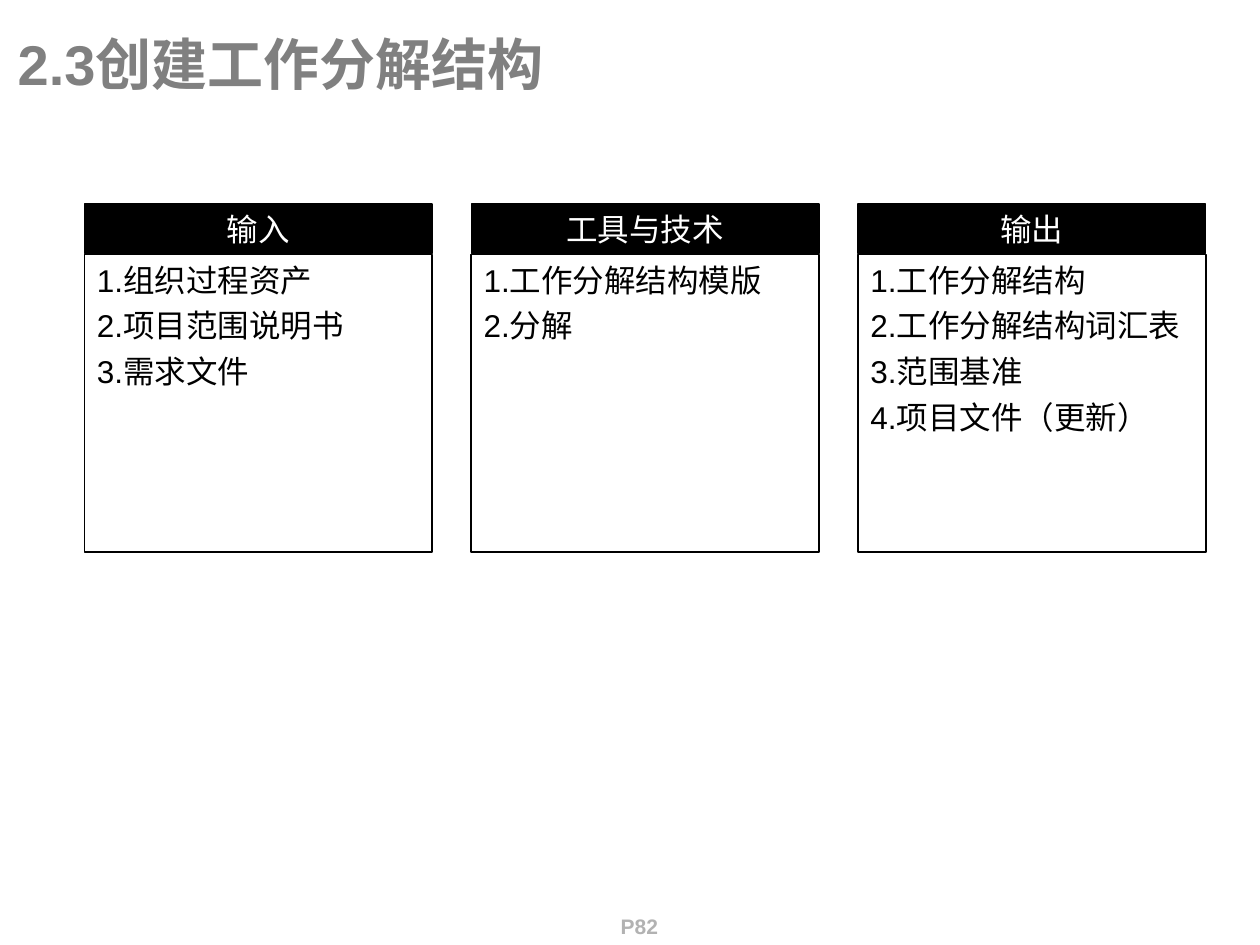
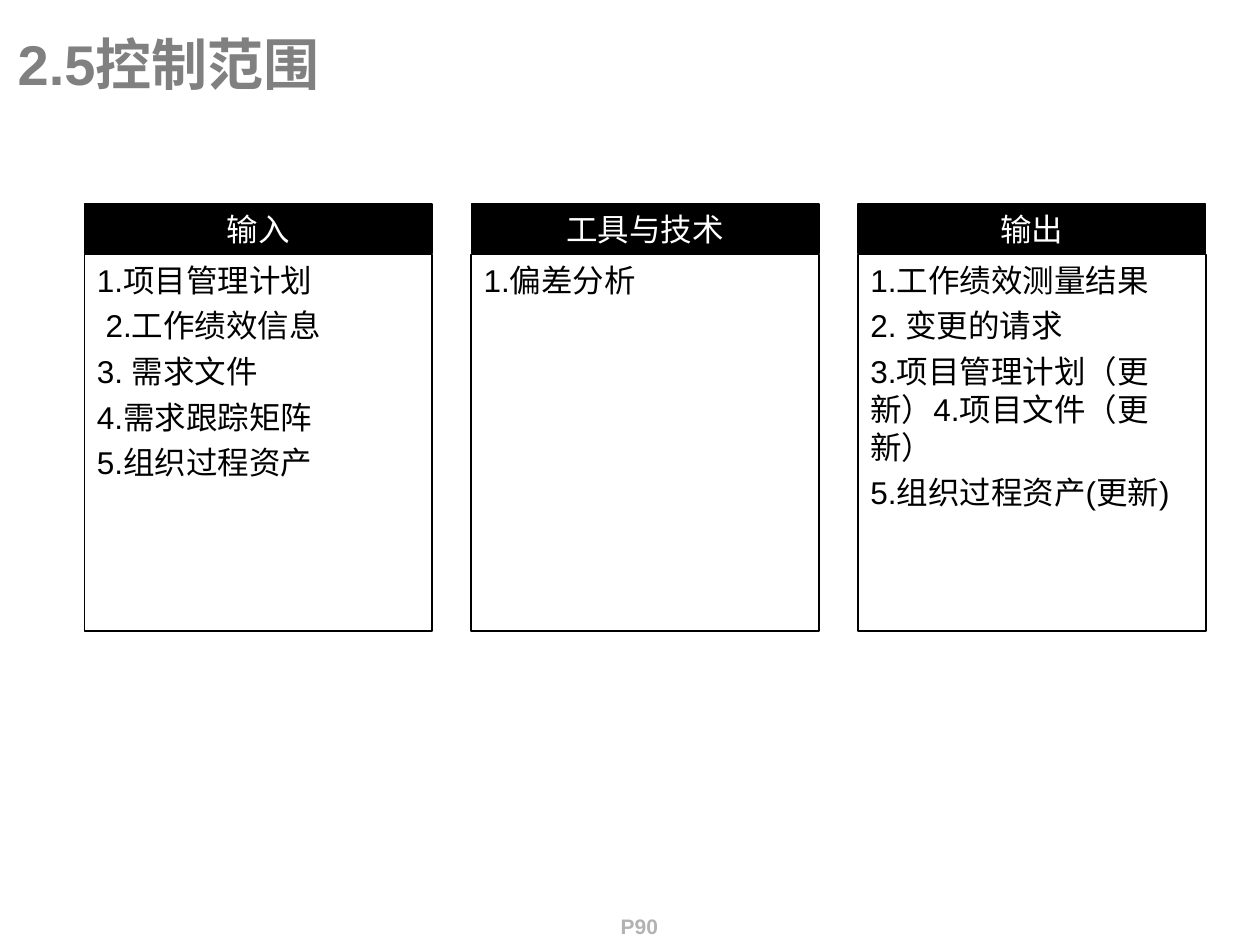
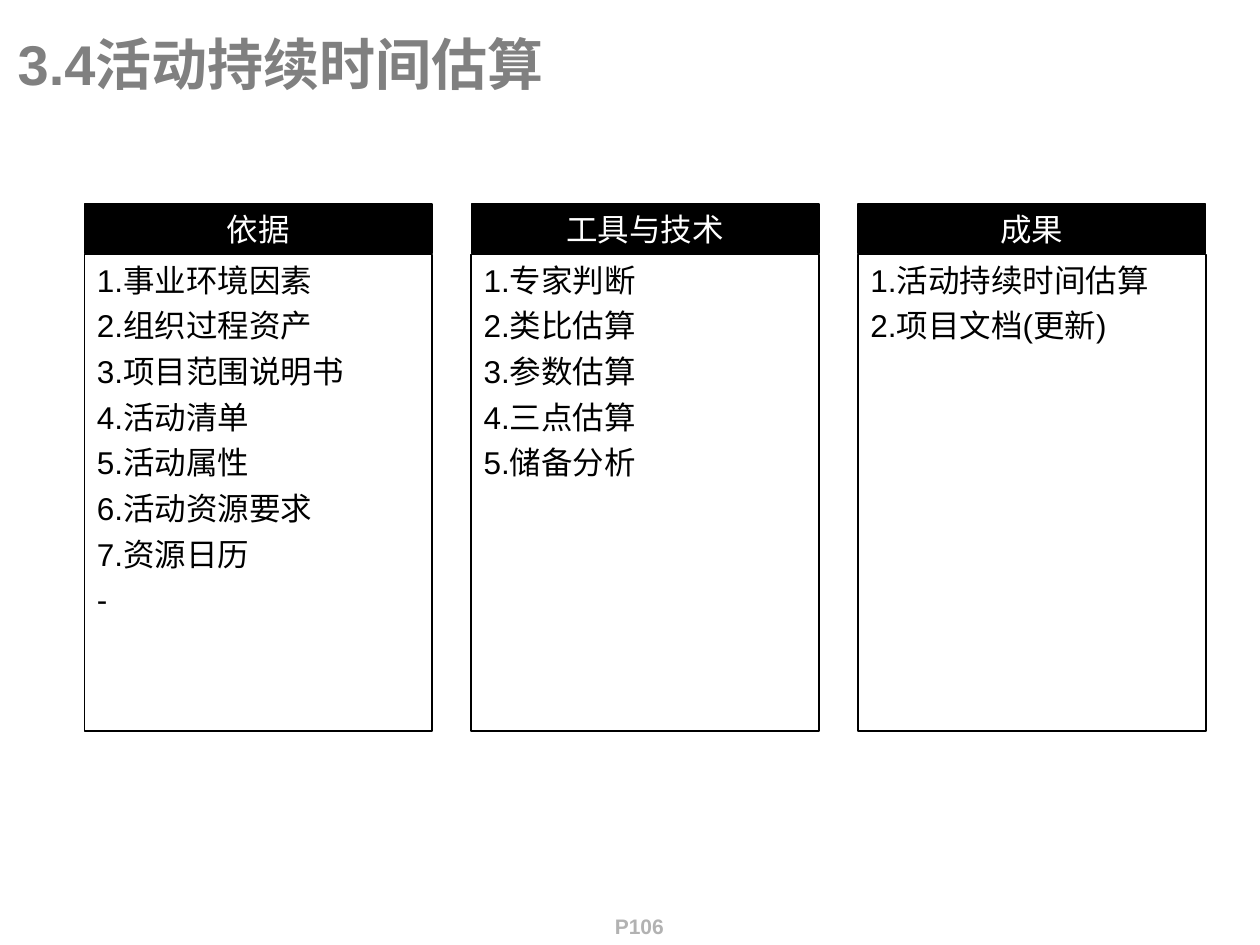
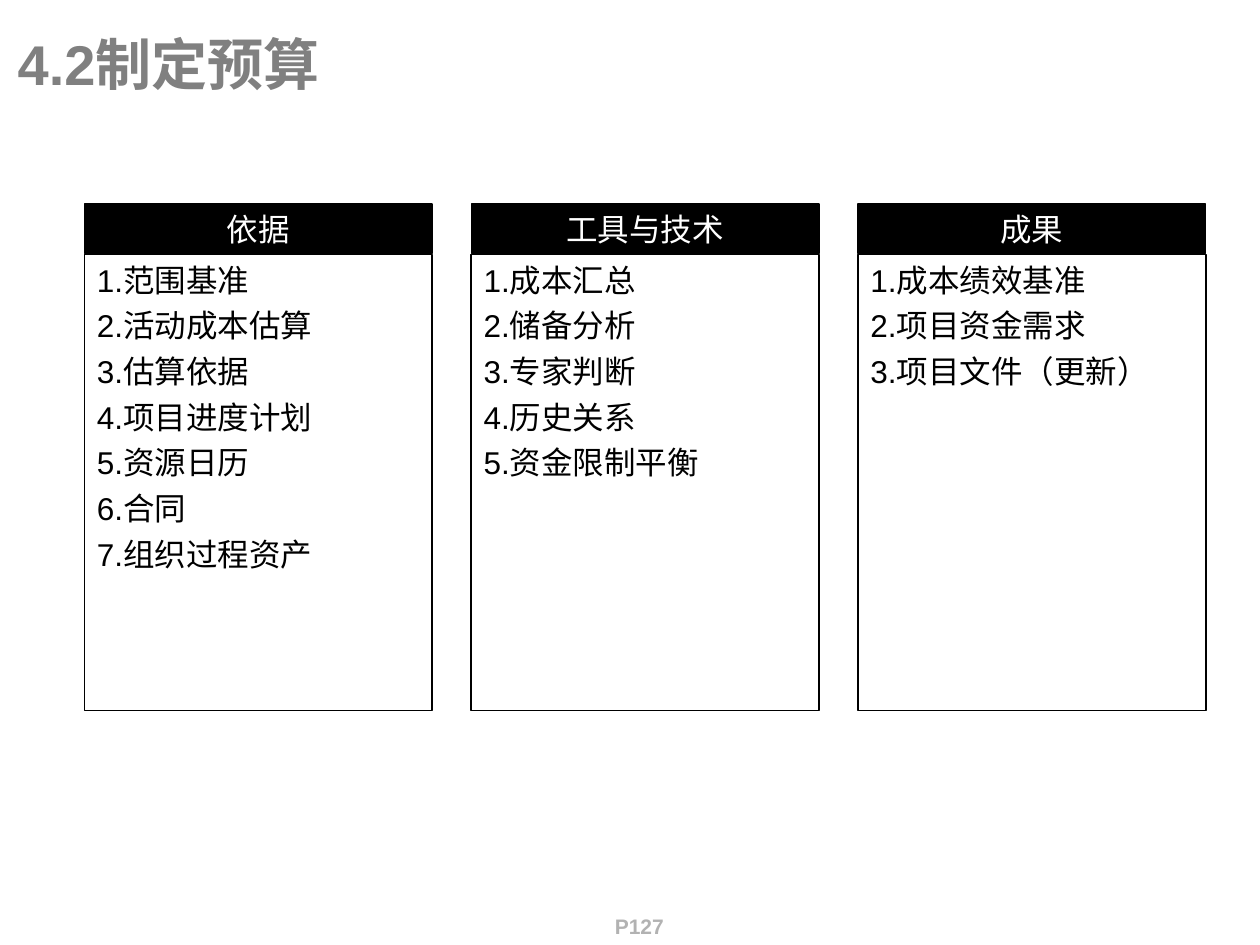
from dataclasses import dataclass

from pptx import Presentation
from pptx.dml.color import RGBColor
from pptx.enum.shapes import MSO_SHAPE
from pptx.enum.text import MSO_ANCHOR, MSO_AUTO_SIZE, PP_ALIGN
from pptx.util import Inches, Pt


@dataclass(frozen=True)
class Theme:
    font: str = "Arial"
    ink: str = "000000"
    paper: str = "FFFFFF"
    title: str = "808080"
    page: str = "B2B2B2"
    title_size: int = 32
    text_size: int = 18
    page_size: int = 12
    gap: float = 4.5
    head_line: float = 0.75
    list_line: float = 1
    left: float = 6.7
    pitch: float = 30.7
    width: float = 27.6
    head_top: float = 21.6
    head_tall: float = 5.2
    list_top: float = 26.93


class Deck:
    def __init__(self, theme):
        self.theme = theme
        self.show = Presentation()
        self.show.slide_width = Inches(10)
        self.show.slide_height = Inches(7.5)
        self.slide = None

    def area(self, x, y, w, h):
        wide, tall = self.show.slide_width, self.show.slide_height
        return [round(side * share / 100)
                for side, share in zip((wide, tall, wide, tall), (x, y, w, h))]

    def label(self, shape, lines, size, color, align=PP_ALIGN.LEFT,
              bold=False, anchor=MSO_ANCHOR.TOP):
        frame = shape.text_frame
        frame.text = "\n".join(lines)
        frame.word_wrap = True
        frame.auto_size = MSO_AUTO_SIZE.NONE
        frame.vertical_anchor = anchor
        for index, para in enumerate(frame.paragraphs):
            para.alignment = align
            para.space_before = Pt(self.theme.gap if index else 0)
            para.font.name = self.theme.font
            para.font.size = Pt(size)
            para.font.bold = bold
            para.font.color.rgb = RGBColor.from_string(color)

    def start(self, title, page):
        look = self.theme
        self.slide = self.show.slides.add_slide(self.show.slide_layouts[5])
        head = self.slide.shapes.title
        head.left, head.top, head.width, head.height = self.area(
            0.4, 2.27, 99.6, 8.8)
        self.label(head, [title], look.title_size, look.title,
                   bold=True, anchor=MSO_ANCHOR.MIDDLE)
        foot = self.slide.shapes.add_textbox(*self.area(47.6, 96, 6.3, 4))
        self.label(foot, [page], look.page_size, look.page,
                   PP_ALIGN.CENTER, bold=True)

    def box(self, col, top, tall, line):
        look = self.theme
        shape = self.slide.shapes.add_shape(
            MSO_SHAPE.RECTANGLE,
            *self.area(look.left + col * look.pitch, top, look.width, tall))
        shape.shadow.inherit = False
        shape.line.color.rgb = RGBColor.from_string(look.ink)
        shape.line.width = Pt(line)
        return shape

    def head(self, col, text):
        look = self.theme
        shape = self.box(col, look.head_top, look.head_tall, look.head_line)
        shape.fill.solid()
        shape.fill.fore_color.rgb = RGBColor.from_string(look.ink)
        self.label(shape, [text], look.text_size, look.paper, PP_ALIGN.CENTER)

    def points(self, col, lines, tall):
        look = self.theme
        shape = self.box(col, look.list_top, tall, look.list_line)
        shape.fill.background()
        self.label(shape, lines, look.text_size, look.ink)

    def process(self, title, page, tall, heads, lists):
        self.start(title, page)
        for col, (head, lines) in enumerate(zip(heads, lists)):
            self.head(col, head)
            self.points(col, lines, tall)


FLOW = ("输入", "工具与技术", "输出")
BASIS = ("依据", "工具与技术", "成果")

SLIDES = [
    ("2.3创建工作分解结构", "P82", 31.47, FLOW, [
        ["1.组织过程资产", "2.项目范围说明书", "3.需求文件"],
        ["1.工作分解结构模版", "2.分解"],
        ["1.工作分解结构", "2.工作分解结构词汇表", "3.范围基准",
         "4.项目文件（更新）"],
    ]),
    ("2.5控制范围", "P90", 39.87, FLOW, [
        ["1.项目管理计划", " 2.工作绩效信息", "3. 需求文件",
         "4.需求跟踪矩阵", "5.组织过程资产"],
        ["1.偏差分析"],
        ["1.工作绩效测量结果", "2. 变更的请求",
         "3.项目管理计划（更新）4.项目文件（更新）", "5.组织过程资产(更新)"],
    ]),
    ("3.4活动持续时间估算", "P106", 50.4, BASIS, [
        ["1.事业环境因素", "2.组织过程资产", "3.项目范围说明书", "4.活动清单",
         "5.活动属性", "6.活动资源要求", "7.资源日历", "-"],
        ["1.专家判断", "2.类比估算", "3.参数估算", "4.三点估算", "5.储备分析"],
        ["1.活动持续时间估算", "2.项目文档(更新)"],
    ]),
    ("4.2制定预算", "P127", 48.27, BASIS, [
        ["1.范围基准", "2.活动成本估算", "3.估算依据", "4.项目进度计划",
         "5.资源日历", "6.合同", "7.组织过程资产"],
        ["1.成本汇总", "2.储备分析", "3.专家判断", "4.历史关系",
         "5.资金限制平衡"],
        ["1.成本绩效基准", "2.项目资金需求", "3.项目文件（更新）"],
    ]),
]


def main():
    deck = Deck(Theme())
    for slide in SLIDES:
        deck.process(*slide)
    deck.show.save("out.pptx")


if __name__ == "__main__":
    main()
